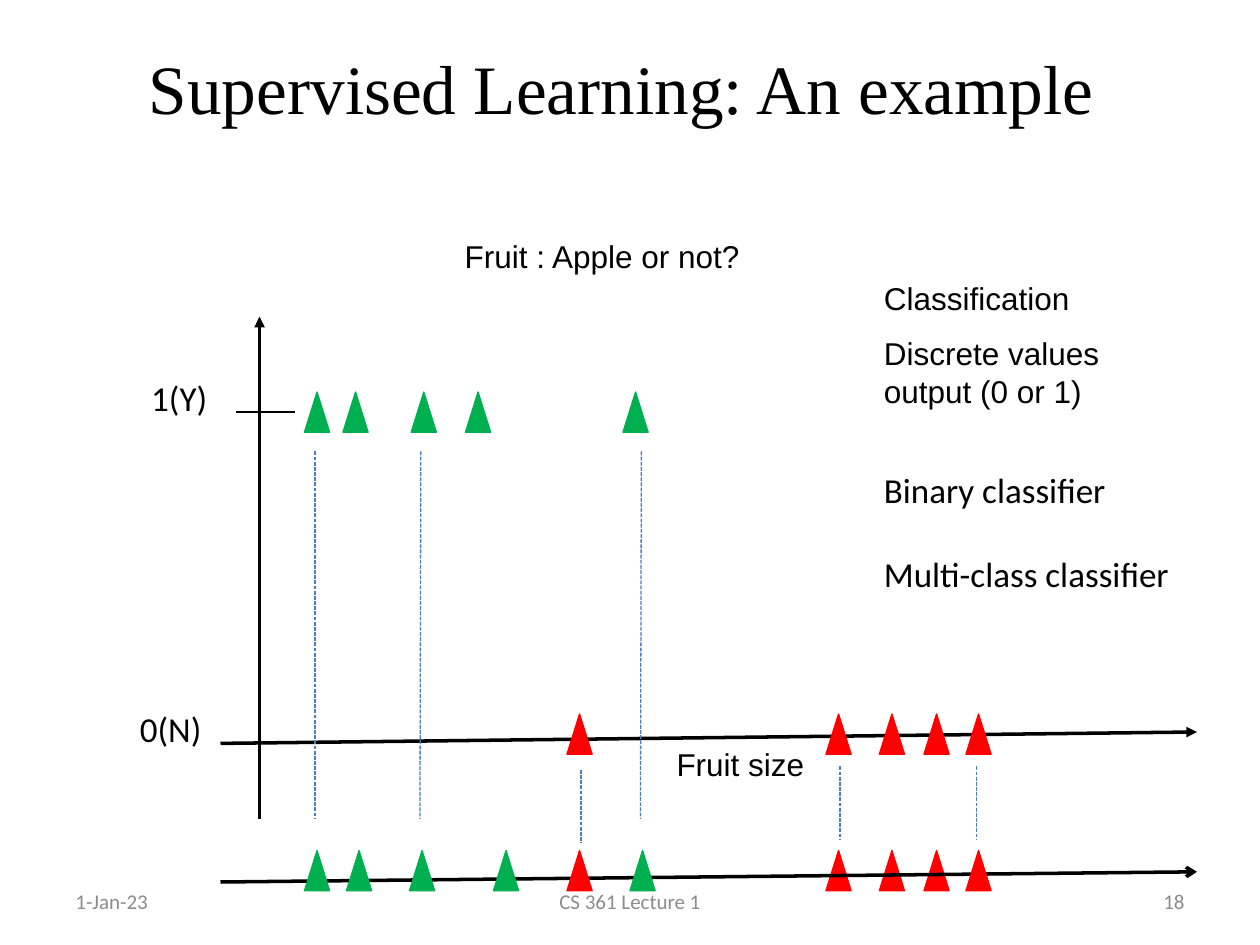
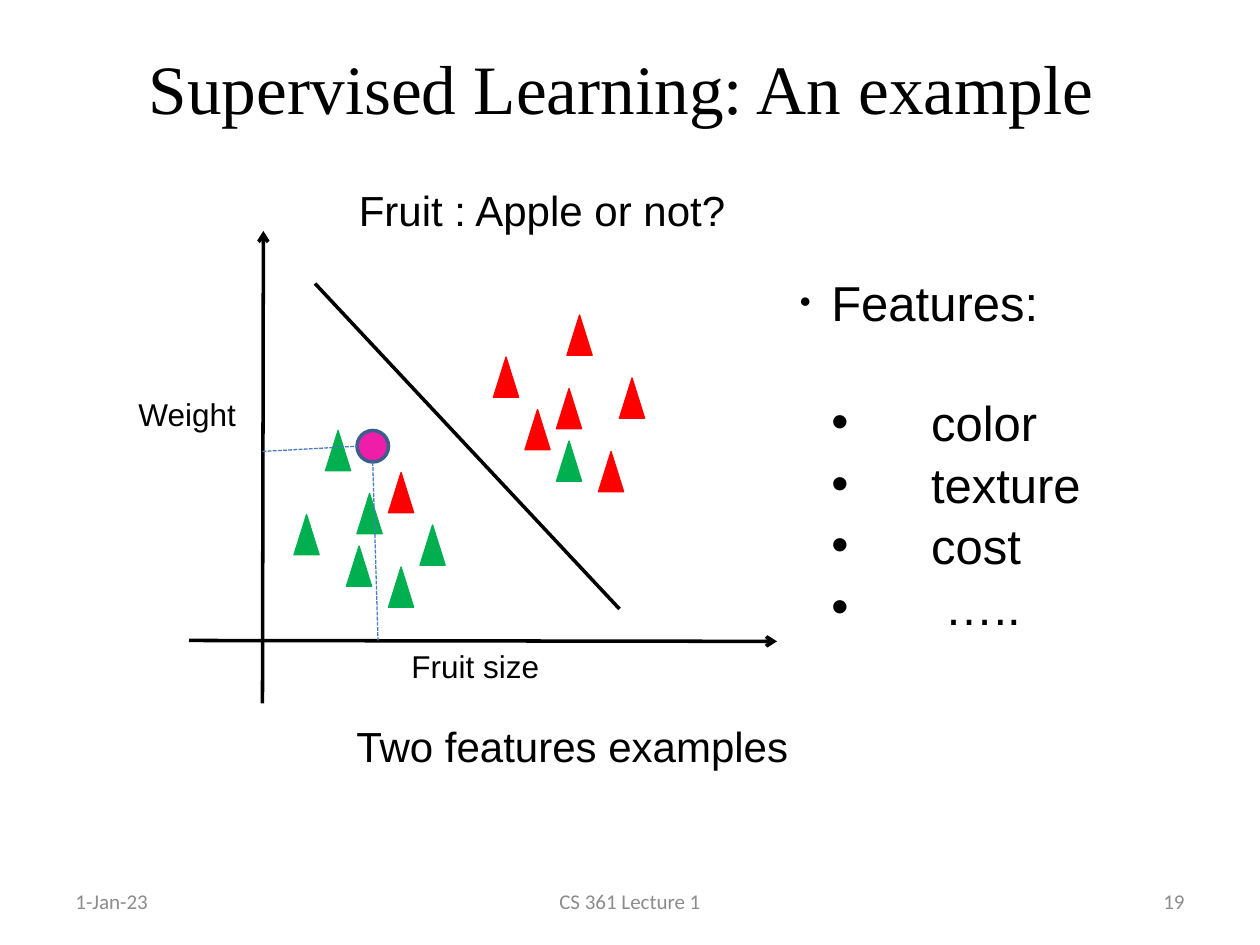
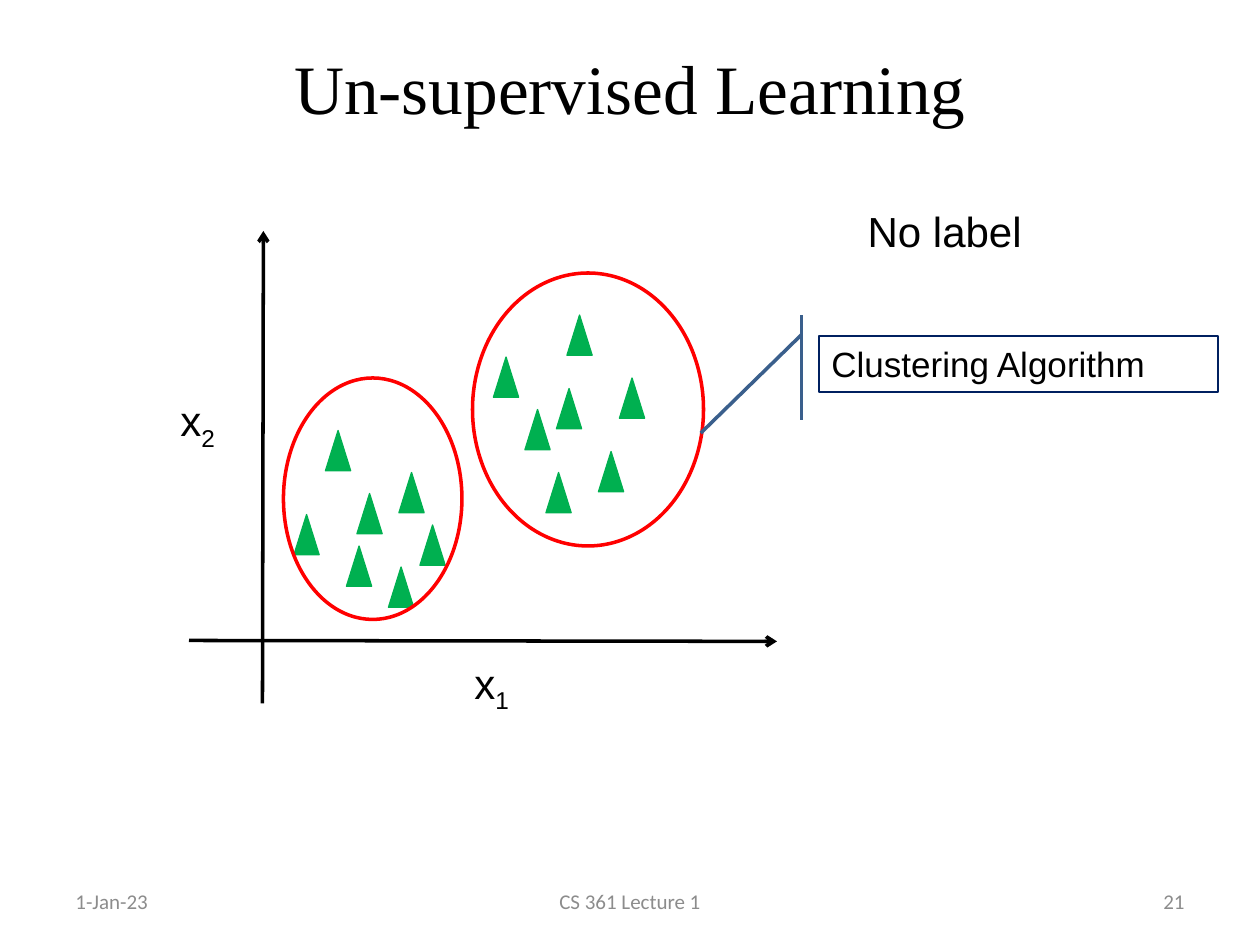
from lxml import etree
from pptx import Presentation
from pptx.dml.color import RGBColor
from pptx.enum.dml import MSO_LINE
from pptx.enum.shapes import MSO_CONNECTOR, MSO_SHAPE
from pptx.enum.text import MSO_ANCHOR, PP_ALIGN
from pptx.oxml.ns import qn
from pptx.util import Pt

BLACK = RGBColor(0x00, 0x00, 0x00)
GREY = RGBColor(0x8C, 0x8C, 0x8C)
GREEN = RGBColor(0x00, 0xB0, 0x50)
RED = RGBColor(0xFF, 0x00, 0x00)
PINK = RGBColor(0xEE, 0x1E, 0xA9)
DASH_BLUE = RGBColor(0x4B, 0x7E, 0xBC)
OUTLINE_BLUE = RGBColor(0x3A, 0x5F, 0x8C)
NAVY = RGBColor(0x00, 0x20, 0x60)

LEFT, CENTER, RIGHT = PP_ALIGN.LEFT, PP_ALIGN.CENTER, PP_ALIGN.RIGHT
TOP, MIDDLE = MSO_ANCHOR.TOP, MSO_ANCHOR.MIDDLE
TRIANGLE, ELLIPSE = MSO_SHAPE.ISOSCELES_TRIANGLE, MSO_SHAPE.OVAL
CALLOUT = MSO_SHAPE.LINE_CALLOUT_1_ACCENT_BAR
STRAIGHT = MSO_CONNECTOR.STRAIGHT
SHORT_DASH = MSO_LINE.SQUARE_DOT

BLANK_LAYOUT = 6
THIN, THICK = 0.75, 2
TRIANGLE_SIZE = (14.4, 23)

# Left and top of the plots
SIZE_PLOT = (126, 181)
FEATURE_PLOT = (108, 132)

# Triangle positions within the plots
APPLE_XS = [48, 70, 109, 140, 230]
APPLE_BASE_XS = [48, 72, 108, 156, 234]
OTHER_XS = [198, 346, 376.5, 402, 426]
LOWER_GROUP = [(78, 114), (60, 162), (132, 168), (96, 150), (90, 180), (114, 192)]
UPPER_GROUP = [(216, 48), (246, 84), (210, 90), (192, 102), (234, 126), (174, 72)]


def add_text(slide, text, box, size=18, font="Arial", color=BLACK, align=LEFT,
             anchor=TOP, space_after=0, indent=0, subscript=None, outline=None):
    """Add a text box; each line of text becomes a paragraph."""
    shape = slide.shapes.add_textbox(*map(Pt, box))
    frame = shape.text_frame
    frame.word_wrap = True
    frame.vertical_anchor = anchor
    if outline is not None:
        shape.line.color.rgb = outline
        shape.line.width = Pt(THIN)
    for index, line in enumerate(text.split("\n")):
        paragraph = frame.paragraphs[0] if index == 0 else frame.add_paragraph()
        paragraph.alignment = align
        paragraph.space_after = Pt(space_after)
        if indent:
            set_indent(paragraph, indent)
        for part in filter(None, (line, subscript)):
            run = paragraph.add_run()
            run.text = part
            run.font.size = Pt(size)
            run.font.name = font
            run.font.color.rgb = color
            if part is subscript:
                run._r.get_or_add_rPr().set("baseline", "-25000")
    return shape


def set_indent(paragraph, left, first_line=0):
    properties = paragraph._p.get_or_add_pPr()
    properties.set("marL", str(Pt(left)))
    properties.set("indent", str(Pt(first_line)))
    return properties


def add_bullet(paragraph, left, hanging, percent=100):
    properties = set_indent(paragraph, left, -hanging)
    etree.SubElement(properties, qn("a:buSzPct"), val=str(percent * 1000))
    etree.SubElement(properties, qn("a:buFont"), typeface="Arial")
    etree.SubElement(properties, qn("a:buChar"), char="•")


def add_line(slide, origin, start, end, color=BLACK, width=THICK, dash=None, arrow=None):
    """Add a line between two points given relative to origin."""
    left, top = origin
    connector = slide.shapes.add_connector(
        STRAIGHT, Pt(left + start[0]), Pt(top + start[1]),
        Pt(left + end[0]), Pt(top + end[1]))
    connector.line.color.rgb = color
    connector.line.width = Pt(width)
    if dash is not None:
        connector.line.dash_style = dash
    if arrow:
        etree.SubElement(connector.line._get_or_add_ln(), qn("a:tailEnd"), type=arrow)
    etree.SubElement(connector._element.spPr, qn("a:effectLst"))


def add_guide(slide, origin, start, end):
    add_line(slide, origin, start, end, DASH_BLUE, THIN, SHORT_DASH)


def add_figure(slide, kind, origin, box, line, fill=None, width=THICK):
    """Add a preset shape whose box is relative to origin."""
    left, top, *extent = box
    shape = slide.shapes.add_shape(
        kind, Pt(origin[0] + left), Pt(origin[1] + top), *map(Pt, extent))
    shape.shadow.inherit = False
    if fill is None:
        shape.fill.background()
    else:
        shape.fill.solid()
        shape.fill.fore_color.rgb = fill
    shape.line.color.rgb = line
    shape.line.width = Pt(width)


def add_triangles(slide, origin, points, color):
    for point in points:
        add_figure(slide, TRIANGLE, origin, (*point, *TRIANGLE_SIZE), color, color, THIN)


def add_row(slide, origin, xs, y, color):
    add_triangles(slide, origin, [(x, y) for x in xs], color)


def add_framed_slide(presentation, title, number):
    """Add a slide with its title and footer."""
    slide = presentation.slides.add_slide(presentation.slide_layouts[BLANK_LAYOUT])
    add_text(slide, title, (36, 21.6, 648, 56), size=39.6, font="Times New Roman",
             align=CENTER, anchor=MIDDLE)
    for text, left, width, align in (("1-Jan-23", 36, 168, LEFT),
                                     ("CS 361 Lecture 1", 246, 228, CENTER),
                                     (str(number), 516, 168, RIGHT)):
        add_text(slide, text, (left, 500.5, width, 28.8), size=12, font="Calibri",
                 color=GREY, align=align, anchor=MIDDLE)
    return slide


def add_size_plot(slide, origin):
    """Draw the labelled fruits over size, and their projection on a lower axis."""
    left, top = origin
    add_line(slide, origin, (22.3, 287), (22.3, 0), arrow="triangle")
    add_line(slide, origin, (0, 243.8), (558, 237.3), arrow="triangle")
    add_line(slide, origin, (8.6, 54.4), (42.5, 54.4), width=THIN)
    for label, x, y in (("0(N)", -66, 220), ("1(Y)", -61, 30.7)):
        add_text(slide, label, (left + x, top + y, 75, 51), size=20,
                 font="Calibri", align=CENTER)
    add_row(slide, origin, APPLE_XS, 43, GREEN)
    add_row(slide, origin, OTHER_XS, 227, RED)
    add_row(slide, origin, OTHER_XS[1:4], 305, RED)
    add_line(slide, origin, (0, 323), (558, 317.2), arrow="arrow")
    add_row(slide, origin, APPLE_BASE_XS, 305, GREEN)
    add_row(slide, origin, OTHER_XS[::4], 305, RED)
    for start, end in ((54, 54), (114.5, 114), (240.5, 240)):
        add_guide(slide, origin, (start, 77), (end, 287))
    for x, y in ((206, 259), (354, 257), (432, 257)):
        add_guide(slide, origin, (x, y), (x, y + 42))
    add_text(slide, "Fruit size", (left + 253.5, top + 241, 109.5, 45))


def add_feature_axes(slide, origin):
    add_line(slide, origin, (0, 234), (336, 234.5), arrow="arrow")
    add_line(slide, origin, (42, 270), (42.5, 0), arrow="arrow")


def add_labelled_plot(slide, origin):
    """Draw two classes of fruit, the line between them and a new fruit."""
    left, top = origin
    add_feature_axes(slide, origin)
    add_text(slide, "Fruit size", (left + 120, top + 234, 109.5, 45))
    add_text(slide, "Weight", (left - 36, top + 90, 109.5, 29))
    add_triangles(slide, origin, UPPER_GROUP + [(114, 138)], RED)
    add_triangles(slide, origin, LOWER_GROUP + [(210, 120)], GREEN)
    add_line(slide, origin, (72, 30), (246, 216))
    add_figure(slide, ELLIPSE, origin, (96, 114, 18, 18), OUTLINE_BLUE, PINK)
    add_guide(slide, origin, (105, 132), (108, 234))
    add_guide(slide, origin, (42, 126), (96, 123))


def add_cluster_plot(slide, origin):
    """Draw two circled groups of unlabelled points."""
    left, top = origin
    add_feature_axes(slide, origin)
    for subscript, x, y in (("2", -12, 90), ("1", 156, 240)):
        add_text(slide, "x", (left + x, top + y, 48, 36), size=24, subscript=subscript)
    add_triangles(slide, origin, LOWER_GROUP + [(120, 138)], GREEN)
    add_triangles(slide, origin, UPPER_GROUP + [(204, 138)], GREEN)
    for box in ((162, 24, 132, 156), (54, 84, 102, 138)):
        add_figure(slide, ELLIPSE, origin, box, RED)


def add_feature_list(slide, box):
    shape = add_text(slide, "Features:\ncolor\ntexture\ncost\n …..", box, size=28,
                     space_after=1.5)
    heading, *features = shape.text_frame.paragraphs
    heading.space_after = Pt(35.2)
    add_bullet(heading, left=18, hanging=18, percent=64)
    for feature in features:
        add_bullet(feature, left=75, hanging=57)


def build_size_slide(presentation):
    slide = add_framed_slide(presentation, "Supervised Learning: An example ", 18)
    add_size_plot(slide, SIZE_PLOT)
    add_text(slide, "Fruit : Apple or not?", (258.5, 131.8, 288, 29))
    add_text(slide, "Classification\nDiscrete values output (0 or 1)",
             (498, 156, 183.6, 142), space_after=10)
    add_text(slide, "Binary classifier\nMulti-class classifier",
             (498, 264, 186, 80), size=20, font="Calibri", space_after=24)


def build_features_slide(presentation):
    slide = add_framed_slide(presentation, "Supervised Learning: An example ", 19)
    add_labelled_plot(slide, FEATURE_PLOT)
    add_text(slide, "Two features examples", (186, 408, 282, 36), size=24, align=CENTER)
    add_feature_list(slide, (450, 152, 234, 211))
    add_text(slide, "Fruit : Apple or not?", (198, 102, 288, 36), size=24)


def build_clustering_slide(presentation):
    slide = add_framed_slide(presentation, "Un-supervised Learning", 21)
    add_cluster_plot(slide, FEATURE_PLOT)
    add_text(slide, "No label", (462, 114, 240, 36), size=24, indent=26.7)
    add_figure(slide, CALLOUT, FEATURE_PLOT, (366, 48, 192, 60), OUTLINE_BLUE)
    add_text(slide, "Clustering Algorithm", (468, 192, 228, 32), size=20, outline=NAVY)


def main():
    presentation = Presentation()
    presentation.slide_width = Pt(720)
    presentation.slide_height = Pt(540)
    build_size_slide(presentation)
    build_features_slide(presentation)
    build_clustering_slide(presentation)
    presentation.save("out.pptx")


if __name__ == "__main__":
    main()
